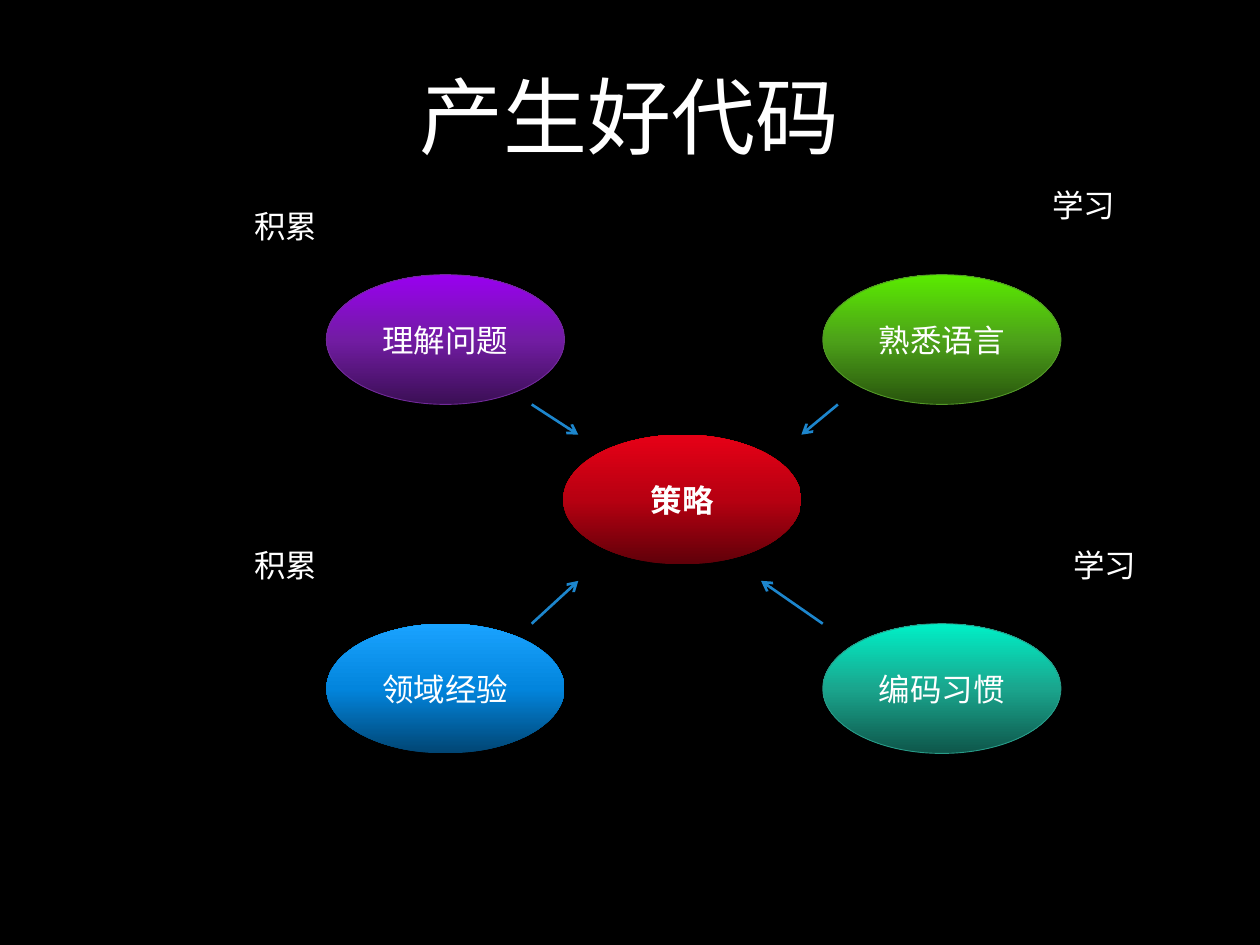
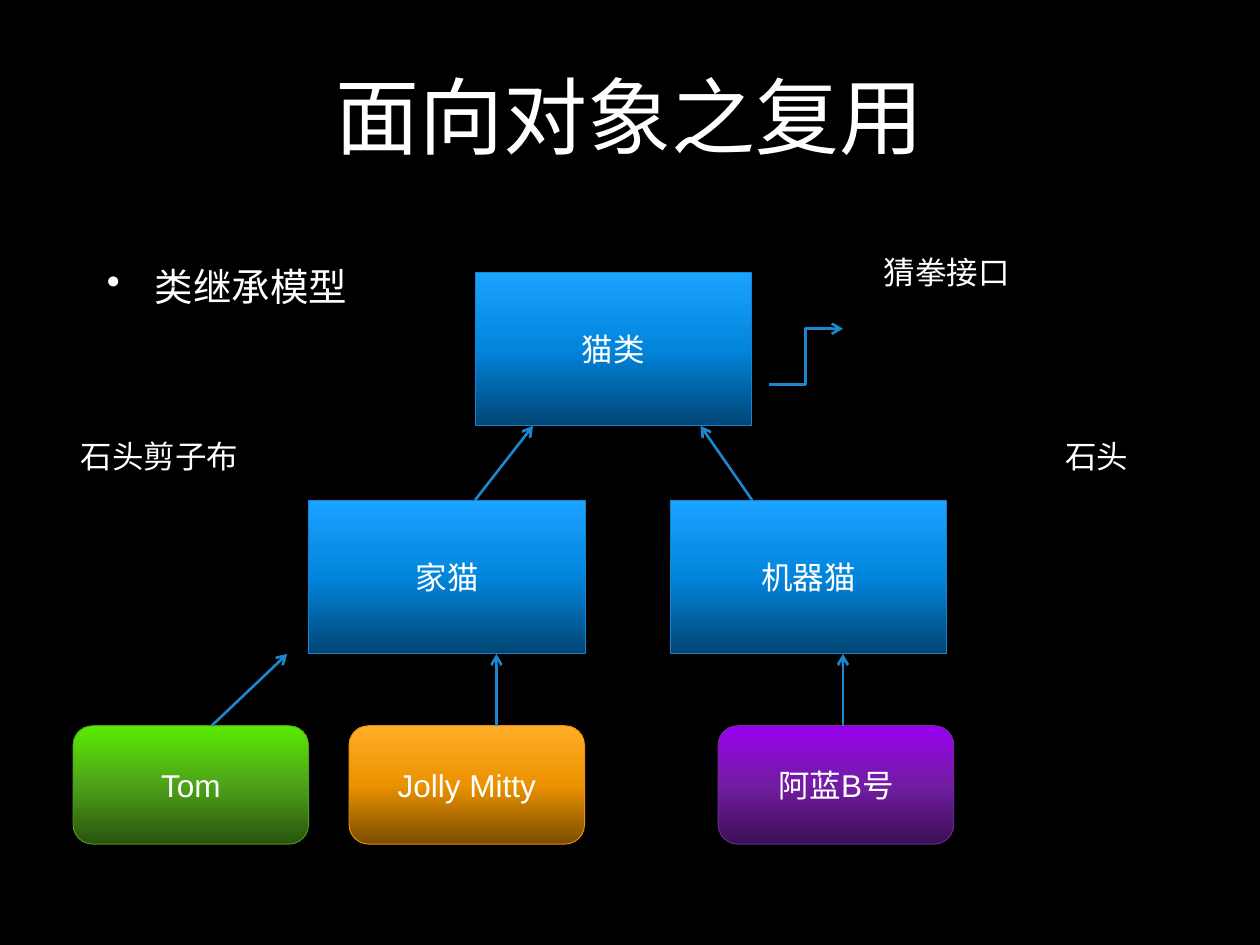
"""Builds two slides: what makes good code, and reuse through class inheritance."""
from copy import deepcopy
from lxml.etree import SubElement
from pptx import Presentation
from pptx.dml.color import RGBColor
from pptx.enum.shapes import MSO_CONNECTOR as Link, MSO_SHAPE as Form
from pptx.enum.text import MSO_ANCHOR as Anchor, PP_ALIGN as Align
from pptx.oxml.ns import qn
from pptx.util import Inches, Pt

hue = RGBColor.from_string
deck = Presentation()
deck.slide_width, deck.slide_height = Inches(10), Inches(7.5)
cell = deck.slide_width // 100

BLACK, WHITE, ARROW = "000000", "FFFFFF", "1D86CD"
BLUE = ["014573", "0285DD", "1AA3FF"]
RED = ["5F0009", "B70011", "E60016"]
PLUM = ["3B0F55", "721CA3", "9900F0"]
LIME = ["28540D", "4DA219", "5AEB00"]
TEAL = ["0E564A", "1AA58D", "00F0C7"]
GOLD = ["7A4C00", "EB9200", "FFAD28"]


def put(slide, form, box, text, tint=None, edge=None, size=18):
    """Adds a centred text, in a shape if a form is given; box counts grid cells."""
    spot = [round(n * cell) for n in box]
    if form is None:
        item = slide.shapes.add_textbox(*spot)
    else:
        item = slide.shapes.add_shape(form, *spot)
        item.shadow.inherit = False
        if tint:
            item.fill.gradient()
            item.fill.gradient_angle = 90
            stops = item.element.xpath(".//a:gsLst")[0]
            stops.append(deepcopy(stops[0]))
            for n, stop in enumerate(item.fill.gradient_stops):
                stop.position = n / 2
                stop.color.rgb = hue(tint[n])
        else:
            item.fill.solid()
            item.fill.fore_color.rgb = hue(BLACK)
        if edge:
            item.line.color.rgb = hue(edge)
            item.line.width = Pt(0.5)
        else:
            item.line.fill.background()
    frame = item.text_frame
    frame.word_wrap = True
    frame.vertical_anchor = Anchor.MIDDLE
    frame.text = text
    para = frame.paragraphs[0]
    para.alignment = Align.CENTER
    para.font.name, para.font.size = "Arial", Pt(size)
    para.font.color.rgb = hue(WHITE)
    return item


def join(slide, ends, kind=Link.STRAIGHT):
    """Adds an arrow between two points of the grid."""
    wire = slide.shapes.add_connector(kind, *[round(n * cell) for n in ends])
    wire.line.color.rgb = hue(ARROW)
    wire.line.width = Pt(1.5)
    SubElement(wire.line._get_or_add_ln(), qn("a:tailEnd"), type="arrow")
    SubElement(wire.element.spPr, qn("a:effectLst"))


slides = []
for title in ["产生好代码", "面向对象之复用"]:
    slide = deck.slides.add_slide(deck.slide_layouts[6])
    slide.background.fill.solid()
    slide.background.fill.fore_color.rgb = hue(BLACK)
    put(slide, None, (7.5, 1.3, 85, 15.6), title, size=48)
    slides.append(slide)
code, reuse = slides

left, right, top, low = 25.9, 65.3, 21.8, 49.5
for x, y, text, tint, edge in [
    (left, top, "理解问题", PLUM, "712A99"),
    (right, top, "熟悉语言", LIME, "529827"),
    (right, low, "编码习惯", TEAL, "289B88"),
    (left, low, "领域经验", BLUE, None),
    (44.7, 34.5, "策略", RED, None),
]:
    oval = put(code, Form.OVAL, (x, y, 18.9, 10.3), text, tint, edge)
oval.text_frame.paragraphs[0].font.bold = True

for x, y, text, tip in [
    (77.8, 12.5, "学习", (-0.21, 0.63)),
    (79.5, 41.1, "学习", (-0.21, 0.63)),
    (14.5, 41.1, "积累", (0.21, 0.67)),
    (14.5, 14.2, "积累", (0.21, 0.67)),
]:
    note = put(code, Form.OVAL_CALLOUT, (x, y, 16.4, 7.5), text, edge=BLACK)
    note.adjustments[0], note.adjustments[1] = tip

for ends in [
    (42.2, 32.1, 45.9, 34.5),
    (66.5, 32.1, 63.6, 34.5),
    (65.3, low, 60.4, 46.1),
    (42.2, low, 45.9, 46.1),
]:
    join(code, ends)

point = put(reuse, None, (7.5, 20.4, 85, 46.6), "类继承模型", size=22)
point.text_frame.vertical_anchor = Anchor.TOP
para = point.text_frame.paragraphs[0]
para.alignment = Align.LEFT
props = para._p.get_or_add_pPr()
props.set("marL", str(Inches(0.38)))
props.set("indent", str(-Inches(0.38)))
SubElement(props, qn("a:buChar"), char="•")
props.insert(0, props.find(qn("a:buChar")))

base, kid, pet = 33.8, 39.7, 57.6
for x, y, text in [(37.7, 21.6, "猫类"), (24.5, kid, "家猫"), (53.2, kid, "机器猫")]:
    put(reuse, Form.RECTANGLE, (x, y, 21.95, 12.2), text, BLUE, "1884CD")

for x, y, text in [(63.3, 17.1, "猜拳接口"), (0.8, 31.7, "石头剪子布"), (75.2, 31.7, "石头")]:
    put(reuse, Form.OVAL, (x, y, 23.7, 8.9), text, edge=BLACK)

for x, text, tint, edge in [
    (5.8, "Tom", LIME, "529827"),
    (27.7, "Jolly Mitty", GOLD, "E89308"),
    (57, "阿蓝B号", PLUM, "712A99"),
]:
    put(reuse, Form.ROUNDED_RECTANGLE, (x, pet, 18.7, 9.4), text, tint, edge)

for start, end in [(37.7, 42.3), (59.7, 55.6)]:
    join(reuse, (start, kid, end, base))
for start, end in [(16.8, 22.8), (39.4, 39.4), (66.9, 66.9)]:
    join(reuse, (start, pet, end, 51.9))
join(reuse, (61, 30.5, 66.9, 26.1), Link.ELBOW)

deck.save("out.pptx")
